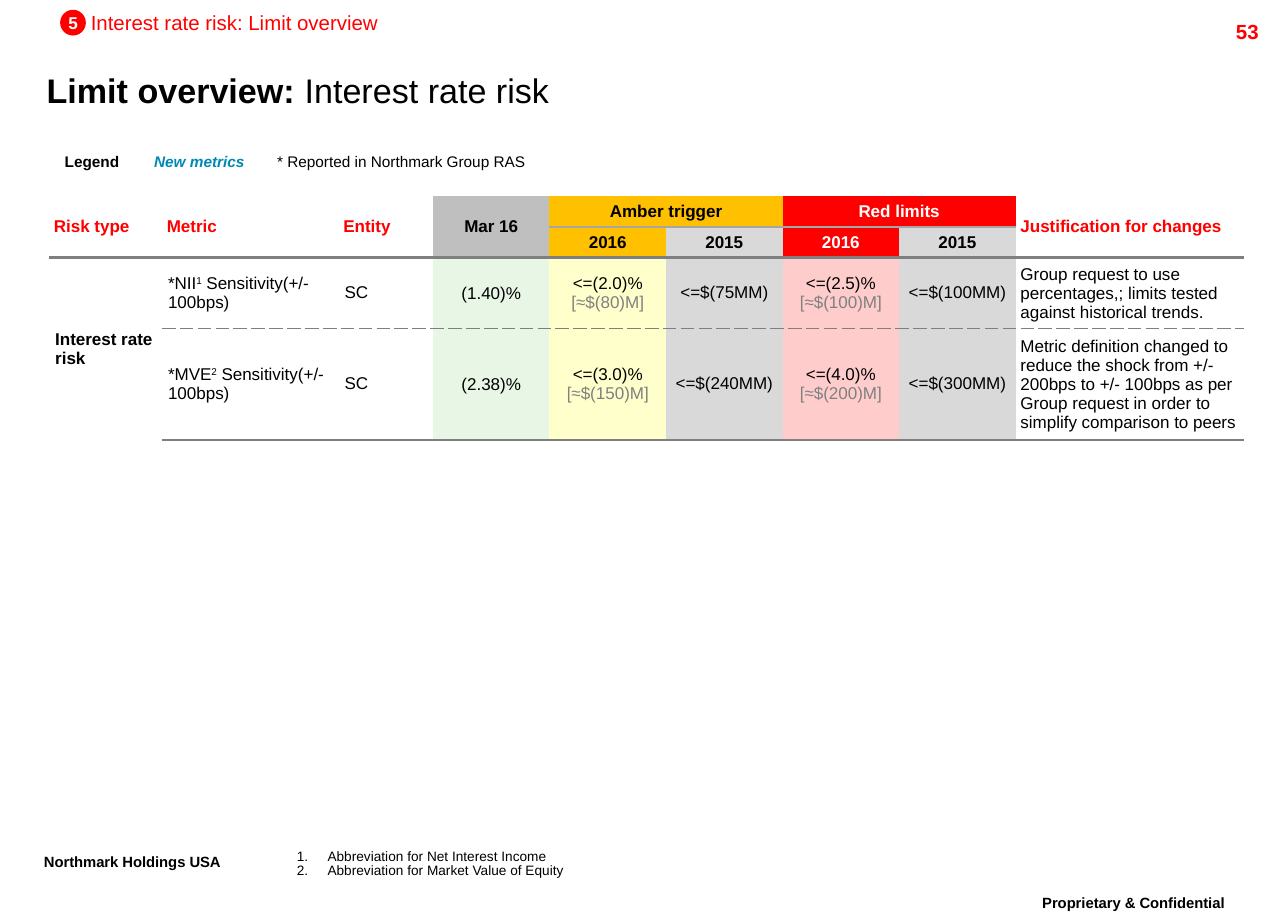
from lxml import etree
from pptx import Presentation
from pptx import util as u
from pptx.dml.color import RGBColor
from pptx.enum import shapes, text
from pptx.oxml import ns

COLORS = {
    "black": "000000", "white": "FFFFFF", "red": "FF0000", "amber": "FFC000",
    "teal": "008AB3", "gray": "808080", "rule": "7F7F7F", "thin_rule": "A5A5A5",
    "current": "BFBFBF", "previous": "D9D9D9", "pale_green": "E8F6E6",
    "pale_yellow": "FFFFCC", "pale_red": "FFCCCC",
}
LEFT, CENTER, RIGHT = text.PP_ALIGN.LEFT, text.PP_ALIGN.CENTER, text.PP_ALIGN.RIGHT
TOP, MIDDLE, BOTTOM = text.MSO_ANCHOR.TOP, text.MSO_ANCHOR.MIDDLE, text.MSO_ANCHOR.BOTTOM


def rgb(name):
    """Return the named colour."""
    return RGBColor.from_string(COLORS[name])


def write(paragraph, words, size=10, color="black", bold=False, italic=False, baseline=0):
    """Add one formatted run to a paragraph."""
    run = paragraph.add_run()
    run.text = words
    font = run.font
    font.name, font.size = "Arial", u.Pt(size)
    font.bold, font.italic = bold, italic
    font.color.rgb = rgb(color)
    if baseline:
        font._element.set("baseline", str(baseline * 1000))


class LimitSlide:
    """Hold the presentation, its current slide and the shared style."""

    def __init__(self, width, height):
        """Start a presentation with one title-only slide."""
        self.presentation = Presentation()
        self.presentation.slide_width = u.Inches(width)
        self.presentation.slide_height = u.Inches(height)
        self.slide = self.presentation.slides.add_slide(self.presentation.slide_layouts[5])

    def fill_frame(self, frame, paragraphs, align=LEFT, spacing=None, numbered=False, **style):
        """Write paragraphs, each a string or a list of (words, format) runs."""
        for index, runs in enumerate(paragraphs):
            paragraph = frame.add_paragraph() if index else frame.paragraphs[0]
            paragraph.alignment = align
            if spacing:
                paragraph.line_spacing = spacing
            if numbered:
                properties = paragraph._p.get_or_add_pPr()
                properties.set("marL", str(u.Inches(0.25)))
                properties.set("indent", str(-u.Inches(0.25)))
                etree.SubElement(properties, ns.qn("a:buAutoNum"), type="arabicPeriod")
            for words, changes in [(runs, {})] if isinstance(runs, str) else runs:
                write(paragraph, words, **{**style, **changes})

    def set_frame(self, frame, paragraphs, anchor=TOP, insets=(0.1, 0.05), wrap=True, **style):
        """Set up the frame of a shape and write its text."""
        frame.auto_size = text.MSO_AUTO_SIZE.NONE
        frame.word_wrap, frame.vertical_anchor = wrap, anchor
        frame.margin_left = frame.margin_right = u.Inches(insets[0])
        frame.margin_top = frame.margin_bottom = u.Inches(insets[1])
        self.fill_frame(frame, paragraphs, **style)

    def title(self, place, runs, **style):
        """Move and format the title placeholder."""
        shape = self.slide.shapes.title
        shape.left, shape.top, shape.width, shape.height = map(u.Inches, place)
        self.set_frame(shape.text_frame, [runs], MIDDLE, (0, 0), **style)

    def label(self, place, *paragraphs, **style):
        """Add a text box."""
        shape = self.slide.shapes.add_textbox(*map(u.Inches, place))
        self.set_frame(shape.text_frame, paragraphs, **style)

    def badge(self, place, words, fill, **style):
        """Add a filled circle with a short text."""
        shape = self.slide.shapes.add_shape(shapes.MSO_SHAPE.OVAL, *map(u.Inches, place))
        shape.shadow.inherit = False
        shape.fill.solid()
        shape.fill.fore_color.rgb = rgb(fill)
        shape.line.fill.background()
        self.set_frame(shape.text_frame, [words], MIDDLE, (0, 0), False, align=CENTER, **style)

    def table(self, place, widths, heights):
        """Add a plain table and return it."""
        frame = self.slide.shapes.add_table(len(heights), len(widths), *map(u.Inches, place))
        table = frame.table
        table.first_row = table.horz_banding = False
        style_id = table._tbl.tblPr.find(ns.qn("a:tableStyleId"))
        style_id.text = "{2D5ABB26-0587-4C30-8999-92F81FD0307C}"
        for column, width in zip(table.columns, widths):
            column.width = u.Inches(width)
        for row, height in zip(table.rows, heights):
            row.height = u.Inches(height)
        return table

    def cell(self, table, row, column, paragraphs, span=(1, 1), fill=None,
             insets=(0.05, 0.05), **style):
        """Fill one cell, merged over its span."""
        cell = table.cell(row, column)
        if span != (1, 1):
            cell.merge(table.cell(row + span[0] - 1, column + span[1] - 1))
        cell.margin_left = cell.margin_right = u.Inches(insets[0])
        cell.margin_top = cell.margin_bottom = u.Inches(insets[1])
        cell.vertical_anchor = MIDDLE
        if fill:
            cell.fill.solid()
            cell.fill.fore_color.rgb = rgb(fill)
        else:
            cell.fill.background()
        self.fill_frame(cell.text_frame, paragraphs, **style)

    def rule(self, table, row, columns, color, width, dash="solid"):
        """Draw the border under a row across the given columns."""
        for edge, line_row in (("a:lnB", row), ("a:lnT", row + 1)):
            if line_row == len(table.rows):
                continue
            for column in columns:
                properties = table.cell(line_row, column)._tc.get_or_add_tcPr()
                line = etree.Element(ns.qn(edge), w=str(u.Pt(width)))
                solid = etree.SubElement(line, ns.qn("a:solidFill"))
                etree.SubElement(solid, ns.qn("a:srgbClr"), val=COLORS[color])
                etree.SubElement(line, ns.qn("a:prstDash"), val=dash)
                properties.insert(len(properties.findall(ns.qn("a:lnT"))), line)


HEADERS = [
    (0, 0, "Risk type", (2, 1), "white", "red", LEFT),
    (0, 1, "Metric", (2, 1), "white", "red", LEFT),
    (0, 2, "Entity", (2, 1), None, "red", LEFT),
    (0, 3, "Mar 16", (2, 1), "current", "black", CENTER),
    (0, 4, "Amber trigger", (1, 2), "amber", "black", CENTER),
    (0, 6, "Red limits", (1, 2), "red", "white", CENTER),
    (0, 8, "Justification for changes", (2, 1), "white", "red", LEFT),
    (1, 4, "2016", (1, 1), "amber", "black", CENTER),
    (1, 5, "2015", (1, 1), "previous", "black", CENTER),
    (1, 6, "2016", (1, 1), "red", "white", CENTER),
    (1, 7, "2015", (1, 1), "previous", "black", CENTER),
]
METRICS = [
    ("*NII", "1", "(1.40)%", ("<=(2.0)%", "[≈$(80)M]"), "<=$(75MM)",
     ("<=(2.5)%", "[≈$(100)M]"), "<=$(100MM)",
     "Group request to use percentages,; limits tested against historical trends."),
    ("*MVE", "2", "(2.38)%", ("<=(3.0)%", "[≈$(150)M]"), "<=$(240MM)",
     ("<=(4.0)%", "[≈$(200)M]"), "<=$(300MM)",
     "Metric definition changed to reduce the shock from +/- 200bps to +/- 100bps "
     "as per Group request in order to simplify comparison to peers"),
]


def add_limits(page):
    """Add the table of interest rate limits."""
    table = page.table((0.4, 1.6, 9.73, 1.99), [0.92, 1.44, 0.77] + [0.95] * 5 + [1.86],
                       [0.25, 0.25, 0.58, 0.91])
    for row, column, words, span, fill, color, align in HEADERS:
        page.cell(table, row, column, [words], span, fill, (0.04, 0.04),
                  align=align, color=color, bold=True)
    page.cell(table, 2, 0, ["Interest rate risk"], (2, 1), bold=True)
    for row, (metric, note, actual, amber, old_amber, red, old_red, reason) in enumerate(METRICS, 2):
        name = [(metric, {}), (note, {"baseline": 30}), (" Sensitivity(+/- 100bps)", {})]
        page.cell(table, row, 1, [name])
        page.cell(table, row, 2, ["SC"], fill="white", spacing=0.86)
        page.cell(table, row, 3, [actual], fill="pale_green", insets=(0.01, 0.01), align=CENTER)
        for column, (limit, amount), fill in ((4, amber, "pale_yellow"), (6, red, "pale_red")):
            page.cell(table, row, column, [limit, [(amount, {"color": "gray"})]],
                      fill=fill, align=CENTER)
        for column, limit in ((5, old_amber), (7, old_red)):
            page.cell(table, row, column, [limit], fill="previous", insets=(0.05, 0),
                      align=CENTER, spacing=0.86)
        page.cell(table, row, 8, [reason], fill="white", insets=(0.04, 0.04))
    page.rule(table, 0, range(4, 8), "thin_rule", 1)
    page.rule(table, 1, range(9), "rule", 1.5)
    page.rule(table, 2, range(1, 9), "rule", 1, "sysDash")
    page.rule(table, 3, range(9), "rule", 1.5)


def main():
    """Build the slide and save it."""
    page = LimitSlide(10.5, 7.5)
    footer = {"size": 15, "bold": True, "baseline": 30, "spacing": 0.86}
    page.label((8.15, 7.25, 2.18, 0.35), "Proprietary & Confidential", align=CENTER, **footer)
    page.label((0.26, 6.91, 1.91, 0.35), "Northmark Holdings USA", **footer)
    page.label((9.36, 0.11, 1, 0.24), "53", align=RIGHT, size=12, color="red", bold=True)
    legend = {"size": 9, "align": CENTER, "spacing": 0.86, "wrap": False}
    page.label((2.15, 1.21, 2.24, 0.23), "* Reported in Northmark Group RAS", **legend)
    page.label((0.4, 1.21, 0.7, 0.23), "Legend", bold=True, **legend)
    page.label((1.15, 1.21, 0.95, 0.23), "New metrics", color="teal", bold=True, italic=True, **legend)
    page.title((0.38, 0.49, 9.48, 0.48),
               [("Limit overview: ", {"bold": True}), ("Interest rate risk", {})], size=20)
    page.label((2.42, 6.93, 6.15, 0.23), "Abbreviation for Net Interest Income",
               "Abbreviation for Market Value of Equity", anchor=BOTTOM, insets=(0, 0),
               spacing=0.86, numbered=True, size=8)
    add_limits(page)
    page.label((0.74, 0.08, 2.81, 0.2), "Interest rate risk: Limit overview",
               insets=(0, 0), size=12, color="red")
    page.badge((0.49, 0.08, 0.21, 0.21), "5", "red", color="white", bold=True)
    page.presentation.save("out.pptx")


if __name__ == "__main__":
    main()
